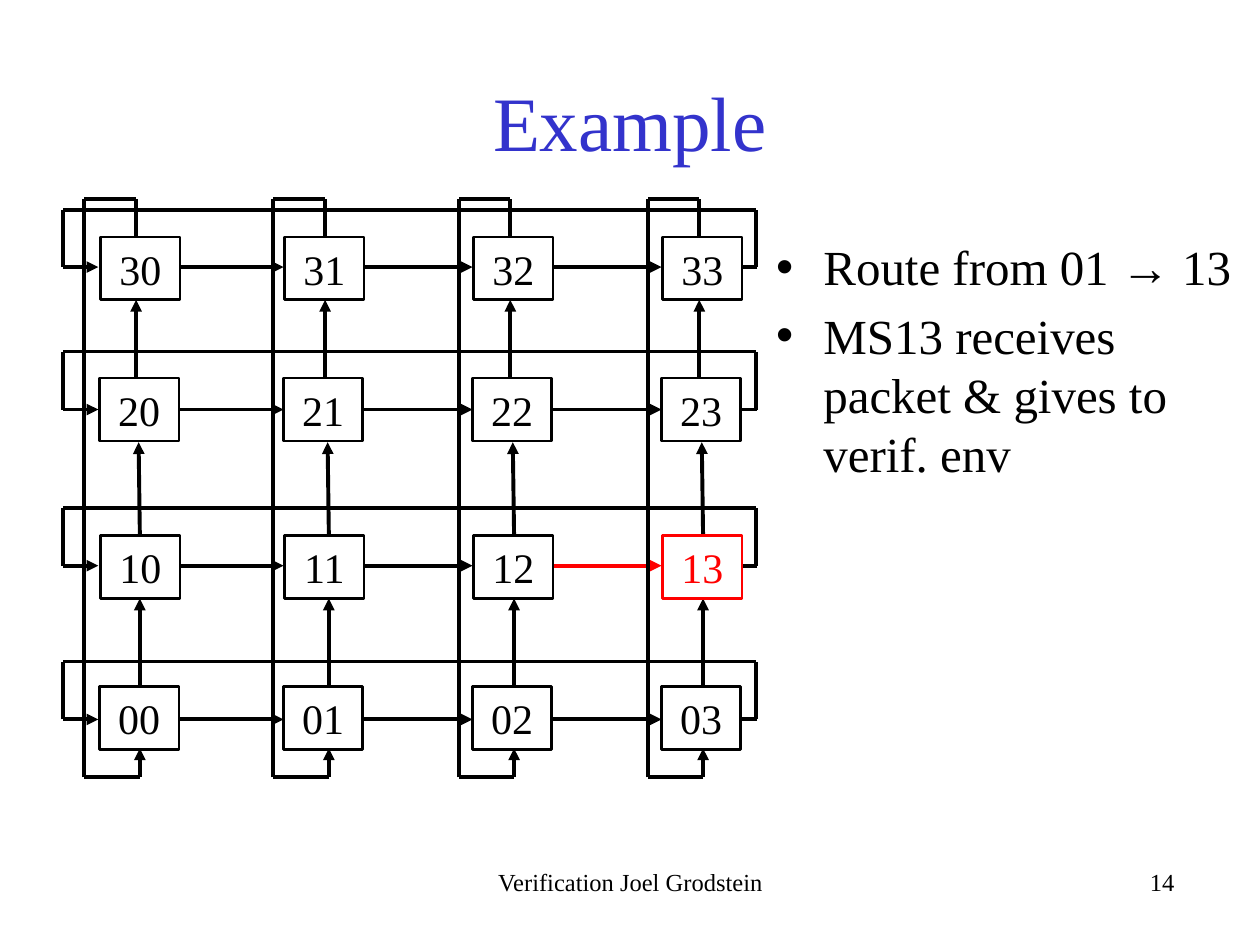
from lxml import etree
from pptx import Presentation
from pptx.dml.color import RGBColor
from pptx.enum import shapes, text
from pptx.oxml.ns import qn
from pptx.util import Inches, Pt

BLACK = RGBColor(0, 0, 0)
WHITE = RGBColor(255, 255, 255)
RED = RGBColor(255, 0, 0)
BLUE = RGBColor(0x33, 0x33, 0xCC)
FONT = "Times New Roman"
ALIGN = text.PP_ALIGN

TITLE = "Example"
POINTS = ["Route from 01 → 13", "MS13 receives packet & gives to verif. env"]
FOOTERS = [
    ("Verification Joel Grodstein", 3.42, ALIGN.CENTER),
    ("14", 6.25, ALIGN.RIGHT),
]
TARGET = (1, 3)

# Node grid: row 0 is at the bottom
COLS = [0.79, 2.25, 3.75, 5.25]
ROWS = [(5.45, 0), (4.25, 0.01), (3.0, 0), (1.88, 0.01)]  # top, shift right
WIDE, HIGH = 0.63, 0.5

# Row links: height of the links and of the wrap line above them
LINKS = [(5.71, 5.25), (4.49, 4.03), (3.25, 2.79), (2.12, 1.67)]
LEFT, RIGHT = 0.5, 6.0

# Column links: left side of each wrap loop, then the upward arrows
LOOPS = [0.67, 2.17, 3.64, 5.14]
CEIL, FLOOR = 1.58, 6.17
RISES = [  # start offset, start height, end offset, end height
    (0.44, 6.17, 0.44, 5.94),
    (0.44, 5.45, 0.44, 4.75),
    (0.44, 4.24, 0.43, 3.51),
    (0.41, 3.14, 0.41, 2.38),
]

deck = Presentation()
deck.slide_width, deck.slide_height = Inches(10), Inches(7.5)
slide = deck.slides.add_slide(deck.slide_layouts[1])


def place(shape, *box):
    """Move and size a shape, in inches."""
    shape.left, shape.top, shape.width, shape.height = map(Inches, box)


def style(para, size, color=BLACK, align=None):
    """Set the font and alignment of a paragraph."""
    para.font.name, para.font.size = FONT, Pt(size)
    para.font.color.rgb = color
    para.alignment = align


def wire(x1, y1, x2, y2, arrow=False, color=BLACK):
    """Draw a straight link, with an arrowhead at its end if asked."""
    link = slide.shapes.add_connector(
        shapes.MSO_CONNECTOR.STRAIGHT, *map(Inches, (x1, y1, x2, y2)))
    link.line.color.rgb = color
    link.line.width = Pt(2.25)
    if arrow:
        etree.SubElement(link.line._get_or_add_ln(), qn("a:tailEnd"), type="triangle")
    etree.SubElement(link._element.spPr, qn("a:effectLst"))


def row_wires(row):
    """Draw the links along a row and its wrap line."""
    y, top = LINKS[row]
    wire(LEFT, y, COLS[0] - 0.01, y, True)
    for col in range(1, len(COLS)):
        color = RED if (row, col) == TARGET else BLACK
        wire(COLS[col - 1] + WIDE, y, COLS[col], y, True, color)
    wire(RIGHT + 0.01, y, COLS[-1] + WIDE - 0.09, y)
    wire(RIGHT, top, LEFT, top)
    for x in (LEFT, RIGHT):
        wire(x, y, x, top)


def col_wires(x):
    """Draw the links up a column and its wrap loop."""
    for dx1, y1, dx2, y2 in RISES:
        wire(x + dx1, y1, x + dx2, y2, True)
    wire(x + 0.41, 2.0, x + 0.41, CEIL)
    wire(x + 0.41, CEIL, x, CEIL)
    wire(x, FLOOR, x, CEIL)
    wire(x + 0.44, FLOOR, x, FLOOR)


def node(row, col):
    """Draw one numbered node."""
    top, shift = ROWS[row]
    color = RED if (row, col) == TARGET else BLACK
    box = slide.shapes.add_shape(
        shapes.MSO_SHAPE.RECTANGLE,
        *map(Inches, (COLS[col] + shift, top, WIDE, HIGH)))
    box.shadow.inherit = False
    box.fill.solid()
    box.fill.fore_color.rgb = WHITE
    box.line.color.rgb = color
    box.line.width = Pt(1.5)
    frame = box.text_frame
    frame.vertical_anchor = text.MSO_ANCHOR.TOP
    frame.text = f"{row}{col}"
    style(frame.paragraphs[0], 24, color, ALIGN.CENTER)


title, body = slide.placeholders
place(title, 0.75, 0.33, 8.5, 1.25)
title.text_frame.text = TITLE
title.text_frame.vertical_anchor = text.MSO_ANCHOR.MIDDLE
style(title.text_frame.paragraphs[0], 44, BLUE, ALIGN.CENTER)

place(body, 6.06, 1.83, 3.91, 3.61)
body.text_frame.text = "\n".join(POINTS)
body.text_frame.auto_size = text.MSO_AUTO_SIZE.NONE
for para in body.text_frame.paragraphs:
    style(para, 28)

for words, left, align in FOOTERS:
    note = slide.shapes.add_textbox(*map(Inches, (left, 6.83, 3.17, 0.5)))
    note.text_frame.word_wrap = True
    note.text_frame.text = words
    style(note.text_frame.paragraphs[0], 14, BLACK, align)

for row in range(len(ROWS)):
    row_wires(row)
for x in LOOPS:
    col_wires(x)
for row in range(len(ROWS)):
    for col in range(len(COLS)):
        node(row, col)

deck.save("out.pptx")
